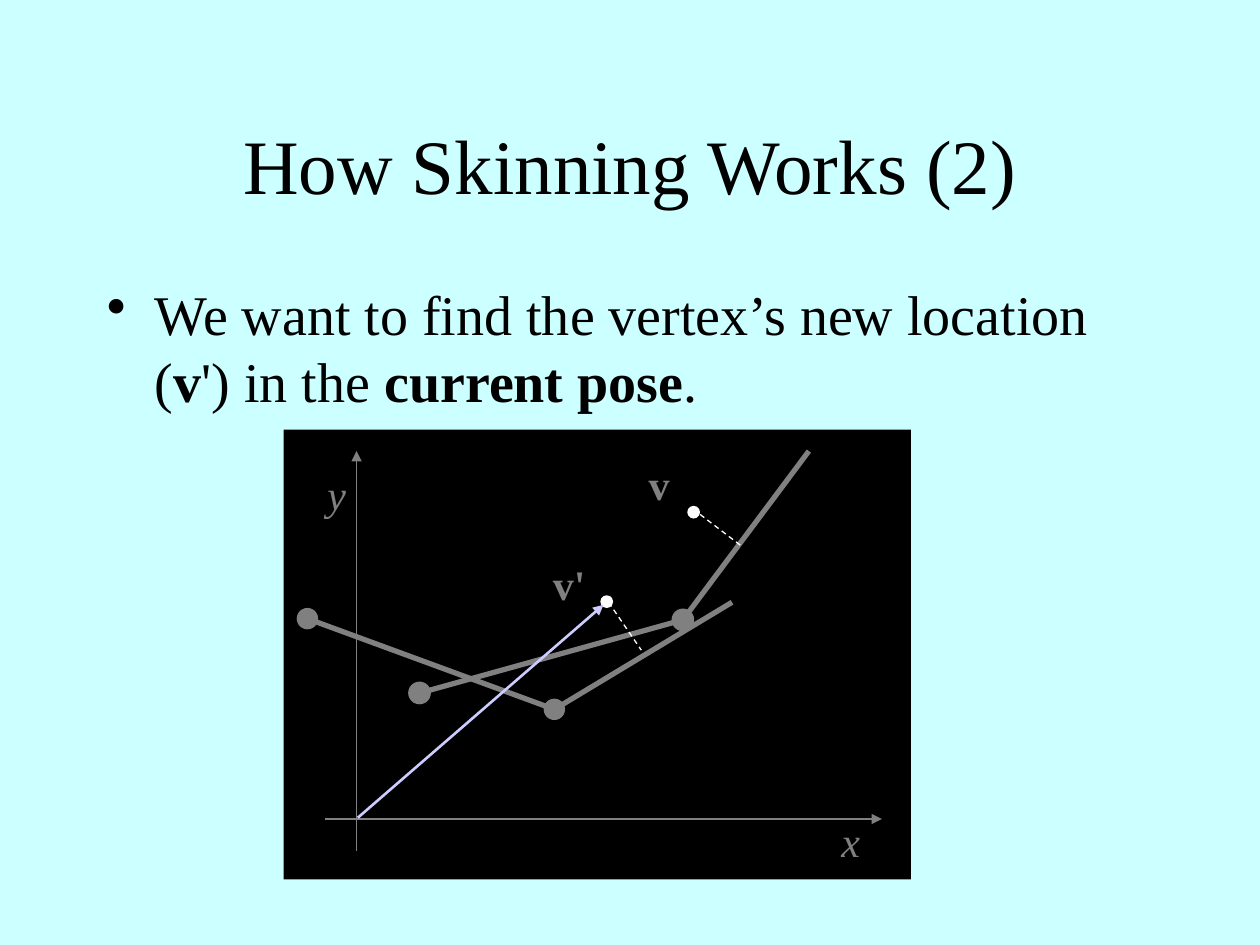
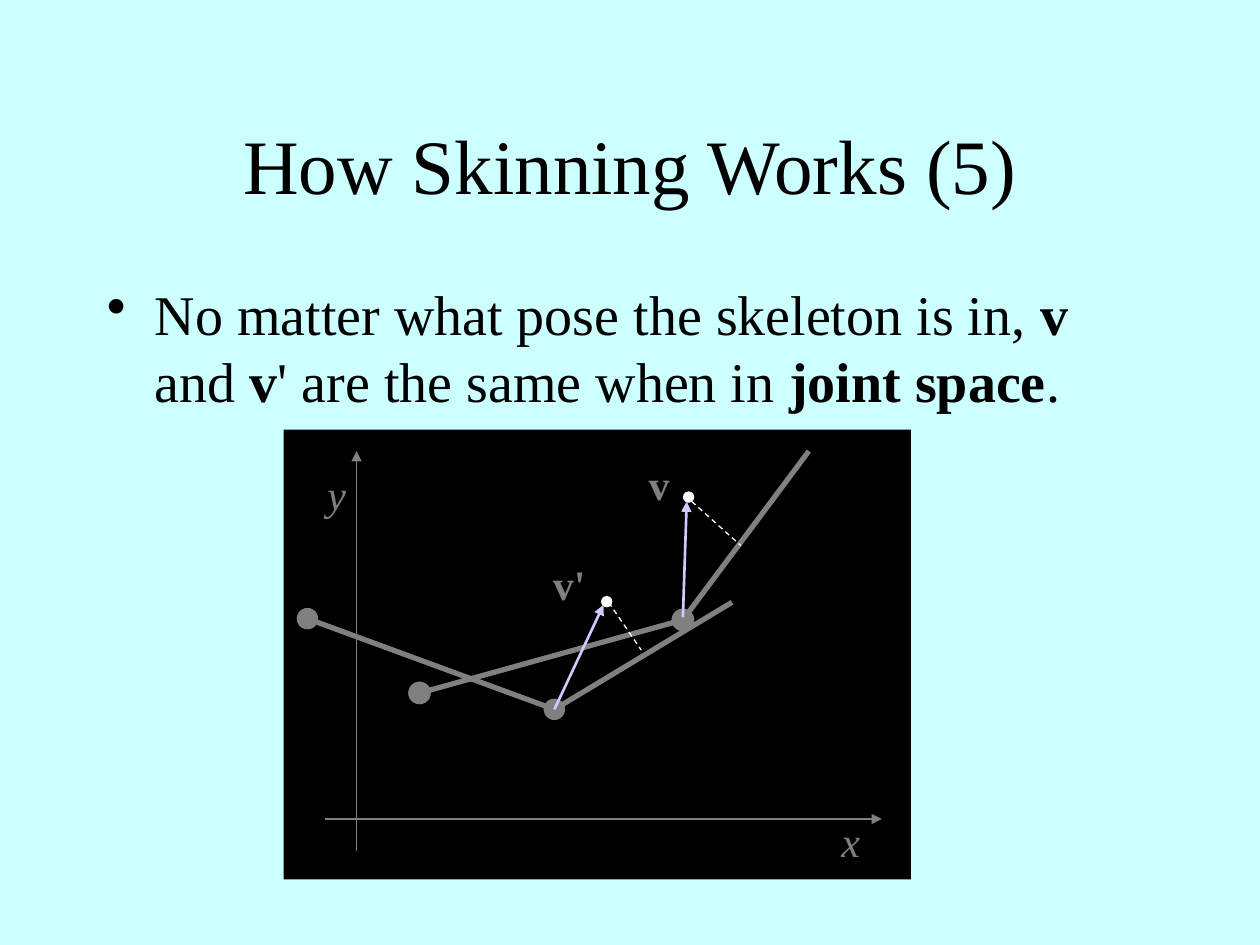
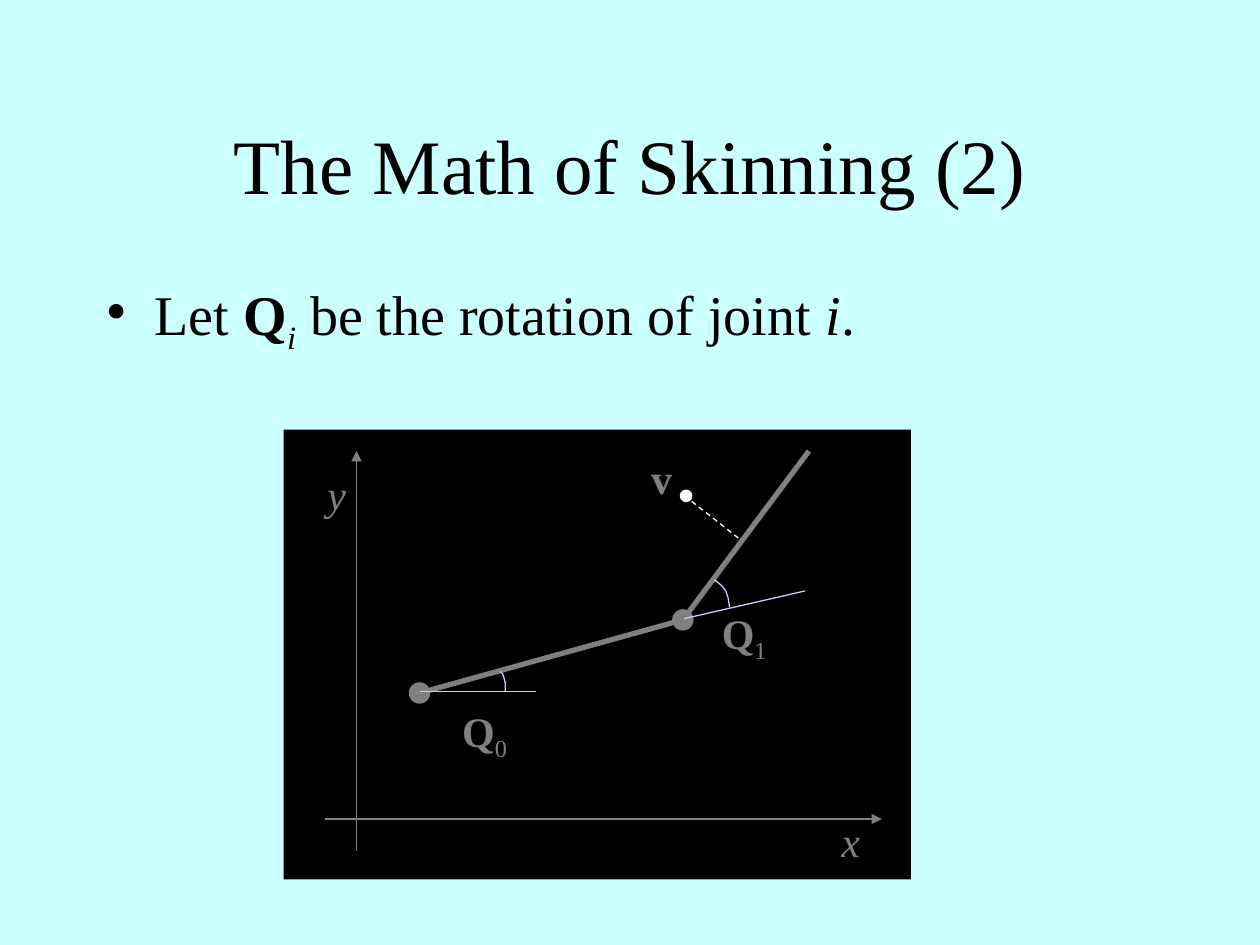
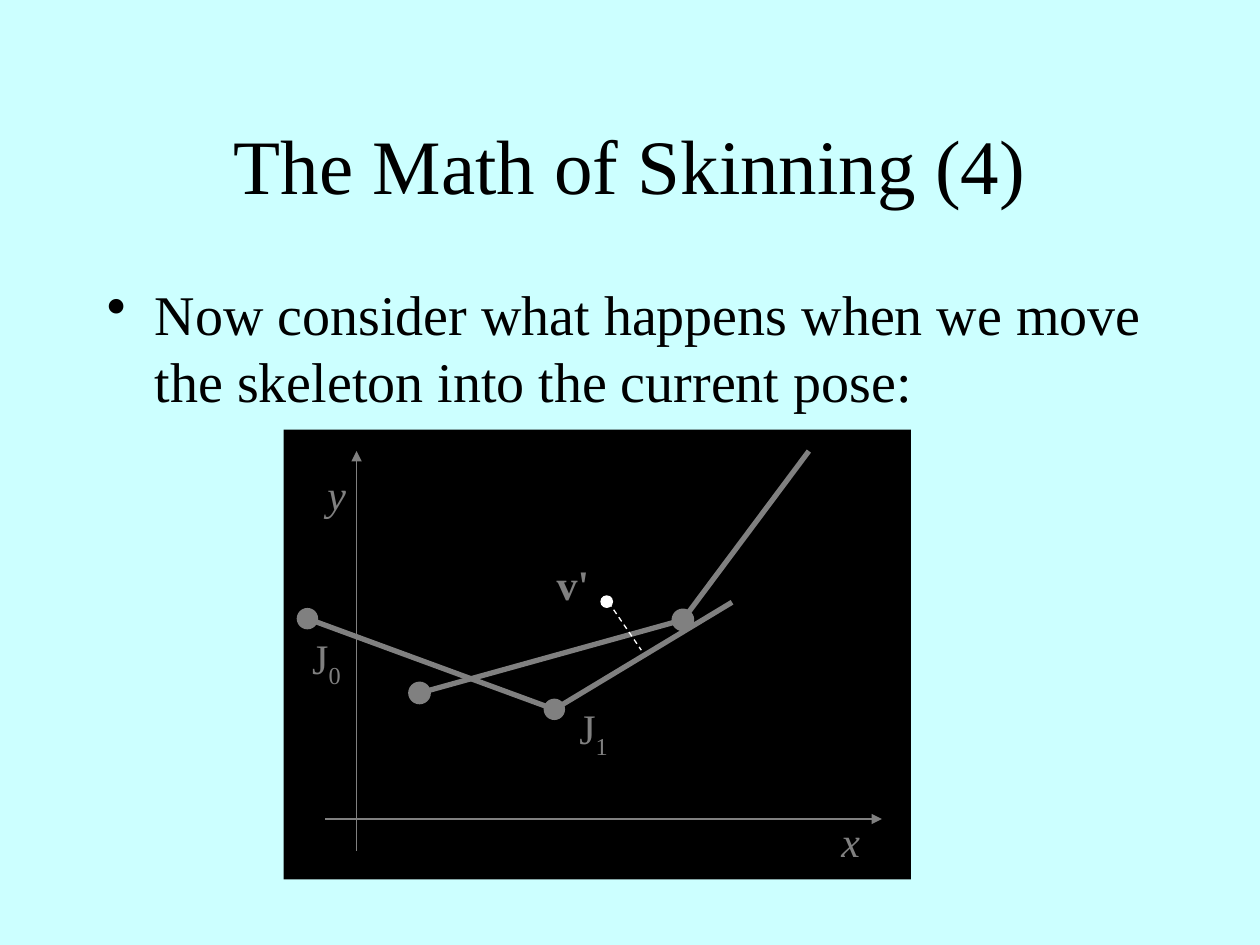
from itertools import pairwise

from lxml import etree
from pptx import Presentation
from pptx import util as u
from pptx.dml.color import RGBColor
from pptx.enum import dml, shapes, text
from pptx.oxml.ns import qn

FONT = "Times New Roman"
SKY, BLACK, GRAY, WHITE, LILAC = "CCFFFF", "000000", "808080", "FFFFFF", "CCCCFF"
SLIDE_W, SLIDE_H = u.Inches(10), u.Inches(7.5)
TITLE_BOX = (0.75, 0.67, 8.5, 1.25)
BODY_BOX = (0.75, 2.17, 8.5, 4.5)
PANEL_BOX = (2.25, 3.41, 4.98, 3.57)
CELL = 0.1

REST = [(10.8, 20.9), (31.7, 15.1), (41.7, 1.7)]
POSE = [(1.9, 15), (21.5, 22.2), (35.6, 13.7)]
ORIGIN = (5.9, 30.8)
POSED_TIP = (25.4, 13.9)
POSED_VERTEX = ((25.65, 13.65), [(25.8, 13.7), (28.4, 17.5)])
POSED_LABEL = (20.4, 9.7, 5.9, 5)
REST_LABEL = (28, 1.8, 5.9, 5)

BOLD, ITALIC = {"bold": True}, {"italic": True}


def color(value):
    """Turn a hex string into a colour."""
    return RGBColor.from_string(value)


def style(target, **values):
    """Set several attributes on one object."""
    for name, value in values.items():
        setattr(target, name, value)


def inches(*lengths):
    """Convert lengths in inches to slide units."""
    return [u.Inches(length) for length in lengths]


def cells(x, y):
    """Convert a grid position on the panel to inches on the slide."""
    return PANEL_BOX[0] + x * CELL, PANEL_BOX[1] + y * CELL


def write(para, runs, size, ink):
    """Fill a paragraph with (text, format) runs; plain strings are unformatted."""
    for run in runs:
        words, look = run if isinstance(run, tuple) else (run, {})
        look = dict(look)
        baseline = look.pop("baseline", None)
        span = para.add_run()
        span.text = words
        style(span.font, name=FONT, size=u.Pt(size), **look)
        span.font.color.rgb = color(ink)
        if baseline:
            span.font._element.set("baseline", str(baseline * 1000))


def add_text(page, box, runs, size, ink=BLACK, **frame_format):
    """Add a wrapped text box and return its paragraph."""
    frame = page.shapes.add_textbox(*inches(*box)).text_frame
    style(frame, word_wrap=True, **frame_format)
    para = frame.paragraphs[0]
    write(para, runs, size, ink)
    return para


def add_bullet(para):
    """Give a paragraph a hanging round bullet."""
    props = para._p.get_or_add_pPr()
    indent = u.Inches(0.38)
    props.set("marL", str(indent))
    props.set("indent", str(-indent))
    tint = etree.SubElement(props, qn("a:buClr"))
    etree.SubElement(tint, qn("a:srgbClr")).set("val", BLACK)
    etree.SubElement(props, qn("a:buChar")).set("char", "•")


def heading(page, title, body):
    """Write the title and the single bullet below it."""
    para = add_text(page, TITLE_BOX, [title], 44, vertical_anchor=text.MSO_ANCHOR.MIDDLE)
    para.alignment = text.PP_ALIGN.CENTER
    add_bullet(add_text(page, BODY_BOX, body, 32))


def label(page, box, *runs):
    """Write a diagram label in a box given in grid cells."""
    left, top, width, height = box
    area = (*cells(left, top), width * CELL, height * CELL)
    add_text(page, area, runs, 24, GRAY)


def indexed(letter, index, look):
    """Return runs for a letter with a subscript."""
    return (letter, look), (index, {"baseline": -25})


def add_line(page, start, end, ink=GRAY, width=0.75, dashed=False, arrow=False):
    """Draw a straight line between two grid points."""
    line = page.shapes.add_connector(
        shapes.MSO_CONNECTOR.STRAIGHT, *inches(*cells(*start), *cells(*end)))
    style(line.line, width=u.Pt(width))
    line.line.color.rgb = color(ink)
    if dashed:
        line.line.dash_style = dml.MSO_LINE.DASH
    props = line._element.spPr
    if arrow:
        etree.SubElement(props.find(qn("a:ln")), qn("a:tailEnd")).set("type", "triangle")
    etree.SubElement(props, qn("a:effectLst"))


def add_solid(page, kind, box, fill, outlined=False):
    """Add a filled shape, with a thin outline of its own colour on request."""
    shape = page.shapes.add_shape(kind, *inches(*box))
    shape.shadow.inherit = False
    shape.fill.solid()
    shape.fill.fore_color.rgb = color(fill)
    if outlined:
        shape.line.color.rgb = color(fill)
        shape.line.width = u.Pt(0.75)
    else:
        shape.line.fill.background()


def add_dot(page, center, size, fill, outlined):
    """Add a round dot centred on a grid point."""
    left, top = cells(center[0] - size / 2, center[1] - size / 2)
    add_solid(page, shapes.MSO_SHAPE.OVAL, (left, top, size * CELL, size * CELL), fill, outlined)


def skeleton(page, points, outlined=False):
    """Draw two bones, with a joint at the start of each."""
    for start, end in pairwise(points):
        add_line(page, start, end, width=3)
    for joint in points[:-1]:
        add_dot(page, joint, 1.7, GRAY, outlined)


def vertex(page, center, tether, outlined=True):
    """Draw a vertex and the dashed tether to its bone."""
    add_dot(page, center, 0.9, WHITE, outlined)
    add_line(page, *tether, ink=WHITE, dashed=True)


def vector(page, start, end):
    """Draw a highlighted arrow."""
    add_line(page, start, end, LILAC, 1.5, arrow=True)


def bend(page, baseline, arc):
    """Mark a joint's rotation with a base line and an arc."""
    add_line(page, *baseline, ink=LILAC)
    first, *rest = [tuple(inches(*cells(*point))) for point in arc]
    builder = page.shapes.build_freeform(*first)
    builder.add_line_segments(rest, close=False)
    curve = builder.convert_to_shape()
    curve.shadow.inherit = False
    curve.fill.background()
    curve.line.color.rgb = color(LILAC)
    curve.line.width = u.Pt(0.75)


def axes(page):
    """Draw the coordinate axes and their names."""
    add_line(page, (5.8, 33.4), (5.8, 1.7), arrow=True)
    add_line(page, (3.3, 30.9), (47.5, 30.9), arrow=True)
    label(page, (2.5, 2.6, 4.4, 5), ("y", ITALIC))
    label(page, (43.3, 30.1, 4.4, 5), ("x", ITALIC))


def add_page(deck, title, *body):
    """Add a slide with its panel, heading and axes."""
    page = deck.slides.add_slide(deck.slide_layouts[6])
    page.background.fill.solid()
    page.background.fill.fore_color.rgb = color(SKY)
    add_solid(page, shapes.MSO_SHAPE.RECTANGLE, PANEL_BOX, BLACK)
    heading(page, title, body)
    axes(page)
    return page


def both_poses(page):
    """Draw the skeleton at rest and in its current pose."""
    skeleton(page, REST, outlined=True)
    skeleton(page, POSE)


def new_location(deck):
    """Build the slide that looks for the new vertex."""
    page = add_page(
        deck, "How Skinning Works (2)",
        "We want to find the vertex’s new location (", ("v", BOLD), "') in the ",
        ("current pose", BOLD), ".")
    both_poses(page)
    vertex(page, *POSED_VERTEX)
    label(page, POSED_LABEL, ("v'", BOLD))
    vertex(page, (32.55, 6.55), [(32.5, 6.3), (36.3, 9.2)])
    label(page, REST_LABEL, ("v", BOLD))
    vector(page, ORIGIN, POSED_TIP)


def joint_space(deck):
    """Build the slide that compares the vertices in joint space."""
    page = add_page(
        deck, "How Skinning Works (5)",
        "No matter what pose the skeleton is in, ", ("v", BOLD), " and ", ("v", BOLD),
        "' are the same when in ", ("joint space", BOLD), ".")
    both_poses(page)
    vertex(page, *POSED_VERTEX, outlined=False)
    label(page, POSED_LABEL, ("v'", BOLD))
    vertex(page, (32.15, 5.35), [(32.4, 5.7), (36.3, 9.2)], outlined=False)
    label(page, REST_LABEL, ("v", BOLD))
    vector(page, POSE[1], POSED_TIP)
    vector(page, (31.7, 14.9), (32, 5.7))


def joint_rotation(deck):
    """Build the slide that names the joint rotations."""
    page = add_page(
        deck, "The Math of Skinning (2)",
        "Let ", ("Q", BOLD), ("i", {"italic": True, "baseline": -25}),
        " be the rotation of joint ", ("i", ITALIC), ".")
    skeleton(page, REST)
    label(page, (13.2, 21.4, 7.5, 5.6), *indexed("Q", "0", BOLD))
    label(page, (33.8, 13.6, 7.5, 5.6), *indexed("Q", "1", BOLD))
    bend(page, [(10.8, 20.8), (20, 20.8)],
         [(17.6, 20.8), (17.6, 20.1), (17.5, 19.7), (17.4, 19.4), (17.2, 19.2)])
    bend(page, [(31.8, 15), (41.4, 12.8)],
         [(35.4, 14.1), (35.3, 13.4), (35.1, 12.8), (34.8, 12.4), (34.2, 11.9)])
    vertex(page, (31.95, 5.25), [(32.4, 5.7), (36.1, 8.6)])
    label(page, (28.2, 1.3, 4.4, 5), ("v", BOLD))


def current_pose(deck):
    """Build the slide that moves the skeleton."""
    page = add_page(
        deck, "The Math of Skinning (4)",
        "Now consider what happens when we move the skeleton into the current pose:")
    both_poses(page)
    label(page, (22.5, 21.2, 5, 5.6), *indexed("J", "1", {}))
    label(page, (1.3, 15.6, 5, 5.6), *indexed("J", "0", {}))
    vertex(page, *POSED_VERTEX)
    label(page, (20.7, 9.7, 5.7, 5), ("v'", BOLD))


def main():
    """Build and save the deck."""
    deck = Presentation()
    style(deck, slide_width=SLIDE_W, slide_height=SLIDE_H)
    for build in (new_location, joint_space, joint_rotation, current_pose):
        build(deck)
    deck.save("out.pptx")


if __name__ == "__main__":
    main()
